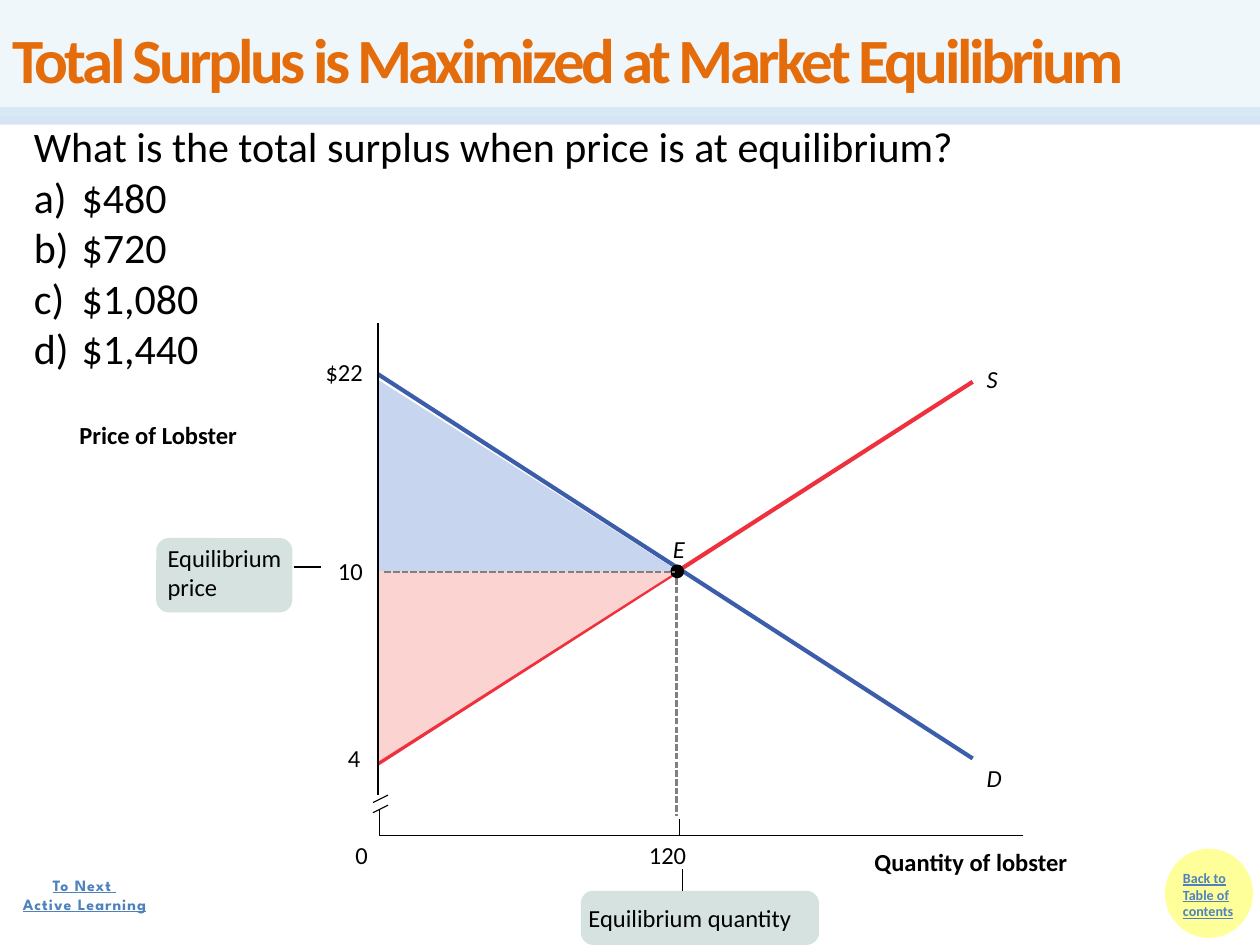
from dataclasses import dataclass

from lxml import etree
from pptx import Presentation
from pptx.dml.color import RGBColor
from pptx.enum.dml import MSO_LINE
from pptx.enum.shapes import MSO_CONNECTOR, MSO_SHAPE
from pptx.enum.text import MSO_ANCHOR, MSO_AUTO_SIZE, PP_ALIGN
from pptx.oxml.ns import qn
from pptx.util import Emu, Pt

SCALE = 9144  # EMU per px, 100 px to the inch

ORANGE = RGBColor(0xE4, 0x6C, 0x0A)
PALE_AQUA = RGBColor(0xDB, 0xEE, 0xF4)
PALE_BLUE = RGBColor(0xC6, 0xD9, 0xF1)
LINK_BLUE = RGBColor(0x4F, 0x81, 0xBD)
YELLOW = RGBColor(0xFF, 0xFF, 0x99)
BLACK = RGBColor(0, 0, 0)
GREY = RGBColor(0x80, 0x80, 0x80)
SUPPLY_RED = RGBColor(0xEE, 0x31, 0x3C)
DEMAND_BLUE = RGBColor(0x3C, 0x5D, 0xAA)
CALLOUT_GREEN = RGBColor(0xD6, 0xE2, 0xE0)
PRODUCER_PINK = RGBColor(0xFB, 0xD4, 0xD2)
CONSUMER_BLUE = RGBColor(0xC7, 0xD6, 0xEE)

LEFT, CENTER, RIGHT = PP_ALIGN.LEFT, PP_ALIGN.CENTER, PP_ALIGN.RIGHT
MIDDLE = MSO_ANCHOR.MIDDLE
GROW = MSO_AUTO_SIZE.SHAPE_TO_FIT_TEXT
STRAIGHT = MSO_CONNECTOR.STRAIGHT
DOTTED = MSO_LINE.SQUARE_DOT
RECTANGLE, ROUNDED, ELLIPSE = (
    MSO_SHAPE.RECTANGLE, MSO_SHAPE.ROUNDED_RECTANGLE, MSO_SHAPE.OVAL)


@dataclass(frozen=True)
class Style:
    size: float = 14
    color: RGBColor = BLACK
    bold: bool = False
    italic: bool = False
    underline: bool = False
    font: str = "Calibri"
    spacing: int = 0  # hundredths of a point


@dataclass(frozen=True)
class Label:
    text: str
    box: tuple[int, int, int, int]
    style: Style = Style()
    wrap: bool = True
    inset: bool = False
    align: PP_ALIGN = LEFT


@dataclass(frozen=True)
class Line:
    start: tuple[int, int]
    end: tuple[int, int]
    color: RGBColor = BLACK
    width: float = 0.63
    dotted: bool = False
    alpha: int = 100


def px(*values: int) -> list[Emu]:
    return [Emu(value * SCALE) for value in values]


def set_alpha(element, percent: int) -> None:
    color = next(element.iter(qn("a:srgbClr")))
    etree.SubElement(color, qn("a:alpha")).set("val", str(percent * 1000))


def format_text(text_frame, style: Style, align: PP_ALIGN = LEFT) -> None:
    for paragraph in text_frame.paragraphs:
        paragraph.alignment = align
        for run in paragraph.runs:
            font = run.font
            font.name, font.size = style.font, Pt(style.size)
            font.bold, font.italic = style.bold, style.italic
            font.underline = style.underline
            font.color.rgb = style.color
            if style.spacing:
                run._r.get_or_add_rPr().set("spc", str(style.spacing))


def add_label(slide, label: Label):
    shape = slide.shapes.add_textbox(*px(*label.box))
    text_frame = shape.text_frame
    text_frame.word_wrap = label.wrap
    text_frame.auto_size = GROW
    if not label.inset:
        text_frame.margin_left = text_frame.margin_right = 0
        text_frame.margin_top = text_frame.margin_bottom = 0
    text_frame.text = label.text
    format_text(text_frame, label.style, label.align)
    return shape


def add_line(slide, line: Line) -> None:
    connector = slide.shapes.add_connector(STRAIGHT, *px(*line.start, *line.end))
    connector.line.color.rgb = line.color
    connector.line.width = Pt(line.width)
    if line.dotted:
        connector.line.dash_style = DOTTED
    properties = connector._element.spPr
    if line.alpha < 100:
        set_alpha(properties, line.alpha)
    etree.SubElement(properties, qn("a:effectLst"))


def fill_plain(shape, color: RGBColor) -> None:
    shape.shadow.inherit = False
    shape.fill.solid()
    shape.fill.fore_color.rgb = color
    shape.line.fill.background()


def add_block(slide, kind: MSO_SHAPE, box: tuple[int, int, int, int], color: RGBColor):
    shape = slide.shapes.add_shape(kind, *px(*box))
    fill_plain(shape, color)
    return shape


def add_outline(slide, points: list[tuple[int, int]], close: bool):
    builder = slide.shapes.build_freeform(*points[0], scale=SCALE)
    builder.add_line_segments(points[1:], close=close)
    return builder.convert_to_shape()


def add_callout(slide, box: tuple[int, int, int, int], line: Line, label: Label) -> None:
    corner_radius = 10
    shape = add_block(slide, ROUNDED, box, CALLOUT_GREEN)
    shape.adjustments[0] = round(corner_radius / box[3], 2)
    add_line(slide, line)
    add_label(slide, label)


def add_question(slide) -> None:
    question = "What is the total surplus when price is at equilibrium?"
    answers = ["$480", "$720", "$1,080", "$1,440"]
    shape = add_label(slide, Label("\n".join([question, *answers]), (17, 91, 948, 212),
                                   Style(24), inset=True))
    for paragraph in shape.text_frame.paragraphs[1:]:
        properties = paragraph._p.get_or_add_pPr()
        properties.set("marL", str(38 * SCALE))
        properties.set("indent", str(-38 * SCALE))
        numbering = etree.SubElement(properties, qn("a:buAutoNum"))
        numbering.set("type", "alphaLcParenR")


def main() -> None:
    presentation = Presentation()
    presentation.slide_width, presentation.slide_height = px(1000, 750)
    slide = presentation.slides.add_slide(presentation.slide_layouts[6])
    bold, italic = Style(bold=True), Style(italic=True)

    # Band under the title and the contents button
    add_line(slide, Line((0, 92), (1000, 92), PALE_BLUE, 10, alpha=71))
    button = add_block(slide, ELLIPSE, (926, 675, 67, 68), YELLOW)
    button.line.color.rgb = YELLOW
    button.line.width = Pt(2)
    add_label(slide, Label("Back to Table of contents", (929, 685, 72, 67),
                           Style(8, LINK_BLUE, bold=True, underline=True), inset=True))

    # Supply and demand curves
    add_line(slide, Line((772, 303), (300, 606), SUPPLY_RED, 2.38))
    add_line(slide, Line((300, 297), (772, 602), DEMAND_BLUE, 2.38))

    # Axes, ticks and axis break
    for line in (
        Line((301, 453), (315, 453)),
        Line((539, 663), (539, 650)),
        Line((300, 631), (300, 256)),
        Line((296, 637), (308, 631)),
        Line((296, 645), (308, 639)),
    ):
        add_line(slide, line)
    axis = add_outline(slide, [(812, 663), (301, 663), (301, 642)], close=False)
    axis.shadow.inherit = False
    axis.fill.background()
    axis.line.color.rgb = BLACK
    axis.line.width = Pt(0.63)

    # Callouts
    add_callout(slide, (461, 707, 189, 43), Line((542, 707), (542, 690)),
                Label("Equilibrium quantity", (467, 717, 199, 24)))
    add_callout(slide, (124, 427, 108, 59), Line((233, 450), (255, 450)),
                Label("Equilibrium price", (133, 431, 125, 47)))

    # Producer and consumer surplus
    for tip, color in ((604, PRODUCER_PINK), (302, CONSUMER_BLUE)):
        fill_plain(add_outline(slide, [(301, tip), (301, 453), (538, 453)], close=True), color)

    # Equilibrium point and its guides
    add_line(slide, Line((537, 452), (537, 648), GREY, 1.25, dotted=True))
    add_block(slide, ELLIPSE, (532, 448, 11, 11), BLACK)
    add_line(slide, Line((305, 454), (536, 454), GREY, 1.25, dotted=True))

    # Graph labels
    for label in (
        Label("S", (783, 289, 13, 24), italic, wrap=False),
        Label("D", (783, 606, 14, 24), italic, wrap=False),
        Label("E", (534, 424, 13, 24), italic, wrap=False),
        Label("Price of Lobster", (63, 333, 225, 24), bold),
        Label("Quantity of lobster", (694, 672, 189, 24), bold),
        Label("120", (515, 667, 30, 24), wrap=False),
        Label("0", (282, 667, 10, 24), wrap=False),
        Label("$22", (248, 283, 40, 24), align=RIGHT),
        Label("10", (248, 441, 40, 24), align=RIGHT),
        Label("4", (246, 590, 40, 24), align=RIGHT),
    ):
        add_label(slide, label)

    # Title
    title = add_block(slide, RECTANGLE, (0, 0, 1000, 92), PALE_AQUA)
    set_alpha(title._element.spPr, 44)
    title.text_frame.word_wrap = True
    title.text_frame.vertical_anchor = MIDDLE
    title.text_frame.text = "Total Surplus is Maximized at Market Equilibrium"
    format_text(title.text_frame, Style(36, ORANGE, bold=True, spacing=-200))

    # Question and link to the next activity
    add_question(slide)
    add_label(slide, Label("To Next \nActive Learning", (3, 690, 128, 40),
                           Style(9, LINK_BLUE, bold=True, underline=True,
                                 font="League Spartan", spacing=60),
                           wrap=False, inset=True, align=CENTER))

    presentation.save("out.pptx")


if __name__ == "__main__":
    main()
